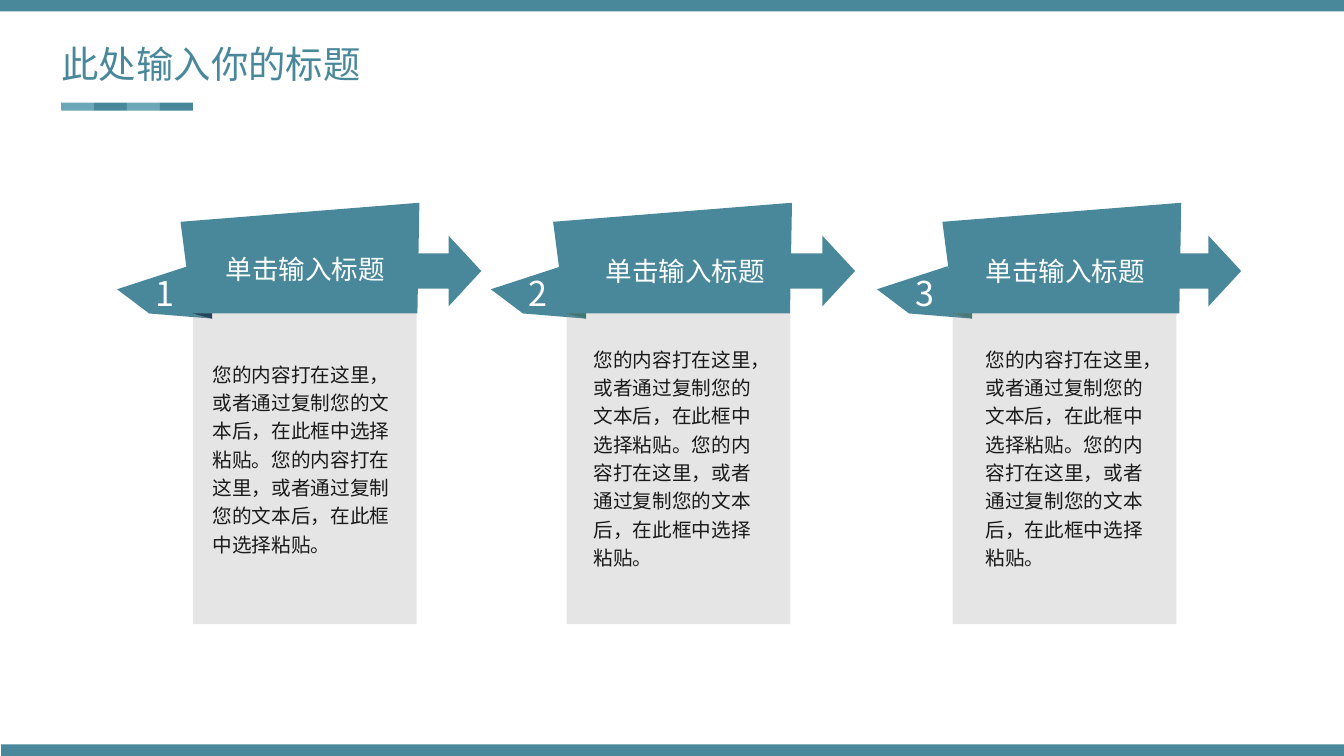
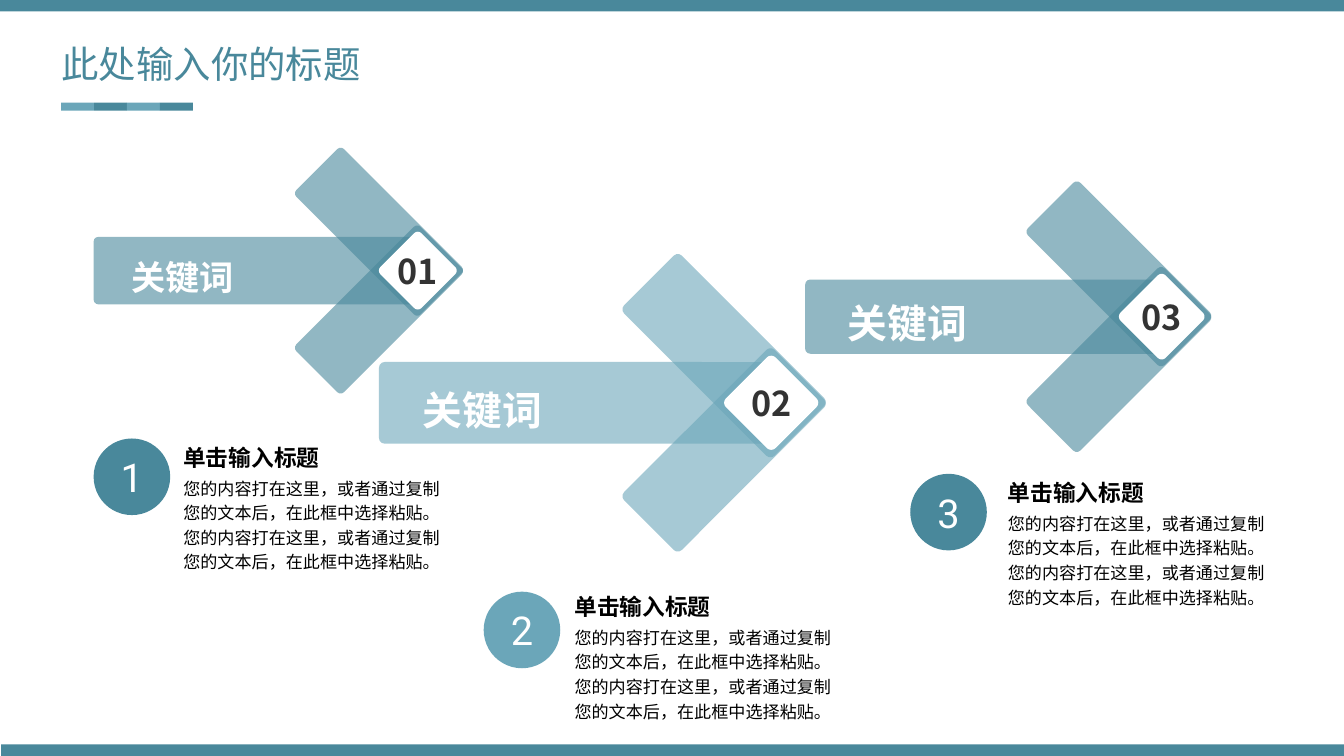
"""Builds two slides of three-step arrow diagrams with a shared frame."""
from math import cos, radians, sin

from lxml.etree import SubElement
from pptx import Presentation
from pptx.dml.color import RGBColor
from pptx.enum.shapes import MSO_SHAPE as Preset
from pptx.enum.text import MSO_ANCHOR as Anchor, PP_ALIGN as Align
from pptx.oxml.ns import qn
from pptx.util import Cm, Pt

TEAL, LIGHT, WHITE, GREY = "49889B", "6BA6B9", "FFFFFF", "808080"
INK, DARK, BLACK = "1A1A1A", "333333", "000000"
SANS, LATIN, ROUND = "Noto Sans CJK SC", "Arial", "Roboto"
WIDTH, HEIGHT, BAND = 33.87, 19.05, 0.29

TITLE = "此处输入你的标题"
HEADING = "单击输入标题"
KEYWORD = "关键词"
BODY = "您的内容打在这里，或者通过复制您的文本后，在此框中选择粘贴。" * 2

RIBBONS = [
    dict(number="1", left=2.95, banner=4.55, fold="0F3552",
         heading=(5.69, 6.22), body=(5.36, 9.02, 4.8)),
    dict(number="2", left=12.37, banner=13.94, fold="32766E",
         heading=(15.27, 6.25), body=(14.96, 8.64, 4.29)),
    dict(number="3", left=22.1, banner=23.75, fold="417771",
         heading=(24.84, 6.25), body=(24.84, 8.64, 4.29)),
]
ARROWS = [
    dict(number="01", left=2.36, middle=6.82, scale=1, color=TEAL,
         keyword=(2.69, 6.25), size=24.4),
    dict(number="02", left=9.55, middle=10.15, scale=1.21, color=LIGHT,
         keyword=(10.26, 9.47), size=28.4),
    dict(number="03", left=20.29, middle=7.98, scale=1.1, color=TEAL,
         keyword=(20.96, 7.29), size=28.4),
]
NOTES = [
    dict(number="1", circle=(2.36, 11.05), text=(4.62, 11.05), color=TEAL),
    dict(number="2", circle=(12.19, 14.91), text=(14.48, 14.81), color=LIGHT),
    dict(number="3", circle=(22.94, 11.94), text=(25.4, 11.94), color=TEAL),
]


def rgb(color):
    """Turn a hex string into a colour."""
    return RGBColor.from_string(color)


def paint(shape, color, opacity=100):
    """Give a shape a flat fill without line or shadow."""
    shape.shadow.inherit = False
    shape.line.fill.background()
    shape.fill.solid()
    shape.fill.fore_color.rgb = rgb(color)
    if opacity < 100:
        tone = shape.fill._xPr.find(".//" + qn("a:srgbClr"))
        SubElement(tone, qn("a:alpha"), val=str(opacity * 1000))
    return shape


def add_preset(slide, preset, left, top, width, height, color, opacity=100):
    """Add a painted preset shape."""
    shape = slide.shapes.add_shape(preset, Cm(left), Cm(top), Cm(width), Cm(height))
    return paint(shape, color, opacity)


def add_outline(slide, points, color):
    """Add a painted polygon through points in centimetres."""
    corners = [(Cm(x), Cm(y)) for x, y in points]
    builder = slide.shapes.build_freeform(*corners[0])
    builder.add_line_segments(corners[1:], close=True)
    return paint(builder.convert_to_shape(), color)


def write(shape, text, size, color, font=SANS, bold=False, align=Align.CENTER,
          anchor=Anchor.MIDDLE, leading=None):
    """Put one styled paragraph into a shape."""
    frame = shape.text_frame
    frame.word_wrap = True
    frame.vertical_anchor = anchor
    frame.margin_left = frame.margin_right = frame.margin_top = frame.margin_bottom = 0
    paragraph = frame.paragraphs[0]
    paragraph.text = text
    paragraph.alignment = align
    if leading:
        paragraph.line_spacing = Pt(round(size * leading, 1))
    style = paragraph.font
    style.size, style.bold, style.name = Pt(size), bold, font
    style.color.rgb = rgb(color)
    SubElement(style._element, qn("a:ea"), typeface=SANS)


def add_text(slide, left, top, width, text, size, color, font=SANS, bold=False,
             align=Align.LEFT, leading=1.44):
    """Add a text box one line high that flows downwards."""
    box = slide.shapes.add_textbox(Cm(left), Cm(top), Cm(width), Pt(size * leading))
    write(box, text, size, color, font, bold, align, Anchor.TOP, leading)


def add_framed_slide(deck):
    """Add a slide with its bands, title and striped underline."""
    slide = deck.slides.add_slide(deck.slide_layouts[6])
    for left, top in ((0, 0), (0.03, HEIGHT - BAND)):
        add_preset(slide, Preset.RECTANGLE, left, top, WIDTH - left, BAND, TEAL)
    add_text(slide, 1.55, 1.04, 10.29, TITLE, 26.7, TEAL, leading=1.2)
    for index, color in enumerate((LIGHT, TEAL) * 2):
        add_preset(slide, Preset.RECTANGLE, 1.54 + index * 0.83, 2.59, 0.83, 0.2, color)
    return slide


def add_ribbon(slide, ribbon):
    """Draw a folded ribbon over its card."""
    left, banner, base = ribbon["left"], ribbon["banner"], 7.9
    card, tip = left + 1.91, left + 2.4
    tail = add_outline(slide, [(left + 1.78, 6.71), (left, 7.29),
                               (left + 0.81, base), (tip, 8.03)], TEAL)
    write(tail, ribbon["number"], 24.4, WHITE)
    add_outline(slide, [(card, base), (tip, 8.03), (tip, 7.34)], ribbon["fold"])
    add_outline(slide, [(banner, 5.59), (banner + 6.02, 5.11),
                        (banner + 5.97, base), (banner + 0.3, base)], TEAL)
    add_preset(slide, Preset.RIGHT_ARROW, left + 7.53, 5.94, 1.65, 1.78, TEAL)
    add_preset(slide, Preset.RECTANGLE, card, 7.88, 5.64, 7.85, GREY, 20)
    add_text(slide, *ribbon["heading"], 4.45, HEADING, 19, WHITE)
    add_text(slide, *ribbon["body"], BODY, 14, INK)


def diamond_points(x, y, half, radius):
    """List the points of a diamond with rounded corners."""
    reach = half - radius
    return [(x + reach * cos(radians(corner)) + radius * cos(radians(corner + turn)),
             y + reach * sin(radians(corner)) + radius * sin(radians(corner + turn)))
            for corner in range(0, 360, 90) for turn in range(-45, 46, 15)]


def add_arrow(slide, arrow):
    """Draw an arrow of three crossing strips with a numbered diamond."""
    left, middle, scale, color = (arrow[key] for key in ("left", "middle", "scale", "color"))
    thick, arm, shaft, half = (scale * size for size in (1.7, 4.43, 8.13, 0.98))
    center = left + scale * 8.17
    strips = [(center - half, middle - half, arm, 45),
              (center - half, middle + half, arm, 315),
              (left + shaft / 2, middle, shaft, 0)]
    for x, y, length, angle in strips:
        strip = add_preset(slide, Preset.ROUNDED_RECTANGLE, x - length / 2,
                           y - thick / 2, length, thick, color, 60)
        strip.adjustments[0] = 0.07
        strip.rotation = angle
    diamond = add_outline(slide, diamond_points(center, middle, half, scale * 0.13), WHITE)
    write(diamond, arrow["number"], 24.4, DARK, bold=True)
    add_text(slide, *arrow["keyword"], 3.81, KEYWORD, arrow["size"], WHITE,
             LATIN, True, Align.CENTER)


def add_note(slide, note):
    """Draw a numbered circle with a heading and a paragraph."""
    circle = add_preset(slide, Preset.OVAL, *note["circle"], 1.93, 1.93, note["color"])
    write(circle, note["number"], 28.4, WHITE, ROUND)
    left, top = note["text"]
    add_text(slide, left, top, 6.5, HEADING, 16.2, BLACK, LATIN, True)
    add_text(slide, left, top + 0.89, 6.5, BODY, 12.2, BLACK, LATIN)


def main():
    """Build and save the deck."""
    deck = Presentation()
    deck.slide_width, deck.slide_height = Cm(WIDTH), Cm(HEIGHT)
    ribbon_slide = add_framed_slide(deck)
    for ribbon in RIBBONS:
        add_ribbon(ribbon_slide, ribbon)
    arrow_slide = add_framed_slide(deck)
    for arrow in ARROWS:
        add_arrow(arrow_slide, arrow)
    for note in NOTES:
        add_note(arrow_slide, note)
    deck.save("out.pptx")


if __name__ == "__main__":
    main()
